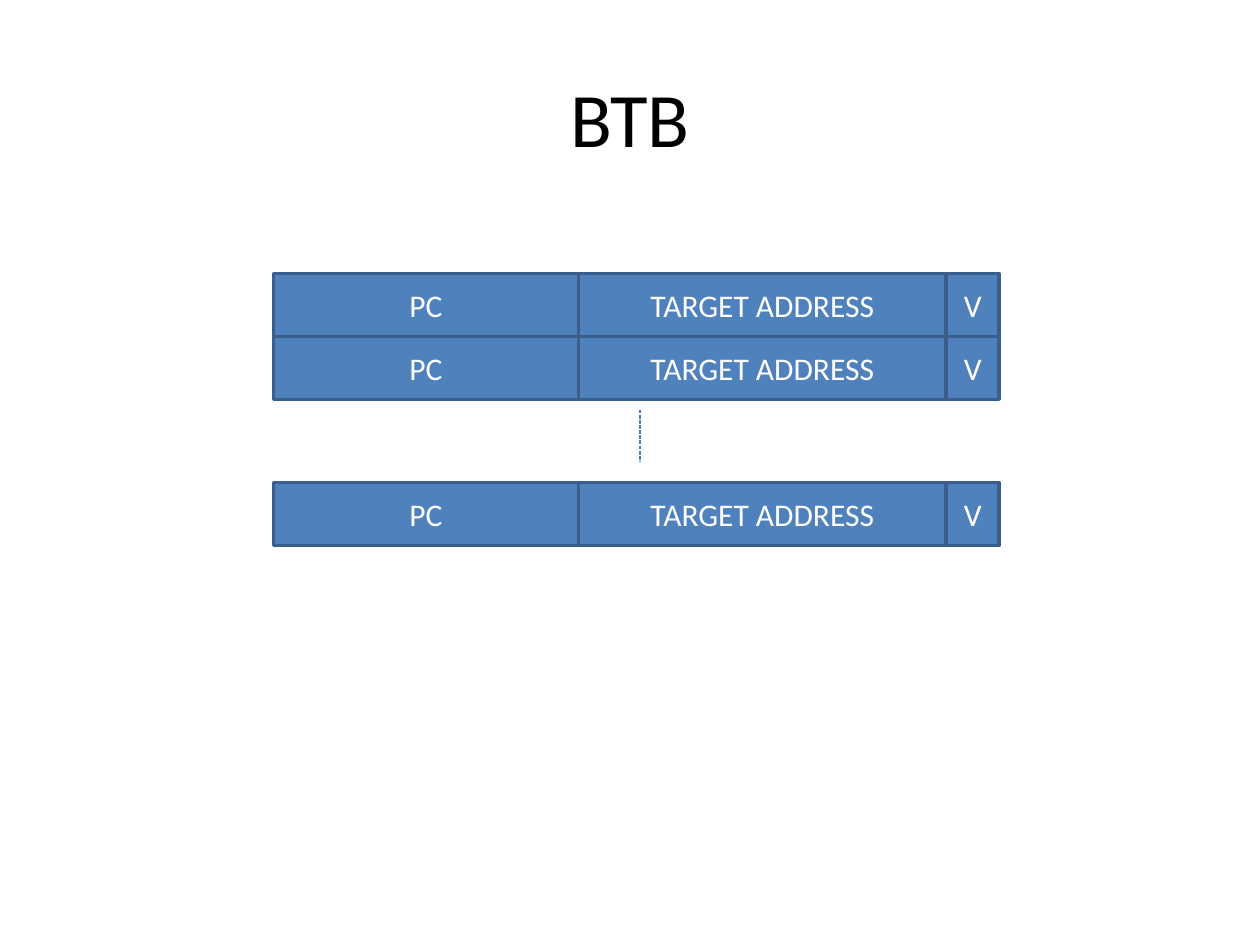
import pptx
import pptx.dml.color
import pptx.enum.dml
import pptx.enum.shapes
import pptx.enum.text
import pptx.oxml.ns
import pptx.util
import lxml.etree

Inches = pptx.util.Inches

COLORS = {
    "background": "FFFFFF",
    "title": "000000",
    "cell": "4F81BD",
    "border": "3A5F8C",
    "cell_text": "FFFFFF",
    "dots": "4B7EBC",
}


def color(name):
    return pptx.dml.color.RGBColor.from_string(COLORS[name])


class SlideBuilder:
    font = "Calibri"
    title_size = 44
    cell_size = 18
    border_width = 2
    dots_width = 0.75

    def __init__(self, slide):
        self.slide = slide
        fill = slide.background.fill
        fill.solid()
        fill.fore_color.rgb = color("background")

    def add_label(self, shape, text, size, color_name):
        frame = shape.text_frame
        frame.word_wrap = True
        frame.vertical_anchor = pptx.enum.text.MSO_ANCHOR.MIDDLE
        paragraph = frame.paragraphs[0]
        paragraph.alignment = pptx.enum.text.PP_ALIGN.CENTER
        run = paragraph.add_run()
        run.text = text
        run.font.name = self.font
        run.font.size = pptx.util.Pt(size)
        run.font.color.rgb = color(color_name)

    def title(self, text, left, top, width, height):
        box = self.slide.shapes.add_textbox(
            Inches(left), Inches(top), Inches(width), Inches(height))
        self.add_label(box, text, self.title_size, "title")

    def cell(self, text, left, top, width, height):
        shape = self.slide.shapes.add_shape(
            pptx.enum.shapes.MSO_SHAPE.RECTANGLE,
            Inches(left), Inches(top), Inches(width), Inches(height))
        shape.shadow.inherit = False
        shape.fill.solid()
        shape.fill.fore_color.rgb = color("cell")
        shape.line.color.rgb = color("border")
        shape.line.width = pptx.util.Pt(self.border_width)
        self.add_label(shape, text, self.cell_size, "cell_text")

    def dashed_line(self, x, top, bottom):
        line = self.slide.shapes.add_connector(
            pptx.enum.shapes.MSO_CONNECTOR.STRAIGHT,
            Inches(x), Inches(top), Inches(x), Inches(bottom))
        line.line.color.rgb = color("dots")
        line.line.width = pptx.util.Pt(self.dots_width)
        # SQUARE_DOT is stored as the sysDash pattern
        line.line.dash_style = pptx.enum.dml.MSO_LINE.SQUARE_DOT
        # An empty effect list removes the theme shadow
        lxml.etree.SubElement(
            line._element.spPr, pptx.oxml.ns.qn("a:effectLst"))


def main():
    presentation = pptx.Presentation()
    presentation.slide_width = Inches(10)
    presentation.slide_height = Inches(7.5)
    slide = presentation.slides.add_slide(presentation.slide_layouts[6])
    builder = SlideBuilder(slide)

    builder.title("BTB", 0.5, 0.3, 9, 1.25)

    # Buffer entries: the same three fields in every row
    fields = [("PC", 2.42), ("TARGET ADDRESS", 2.92), ("V", 0.42)]
    row_height = 0.5
    for top in (2.17, 2.67, 3.83):
        left = 2.17
        for text, width in fields:
            builder.cell(text, left, top, width, row_height)
            left += width

    # Omitted entries between the second and the last row
    builder.dashed_line(5.08, 3.25, 3.67)

    presentation.save("out.pptx")


if __name__ == "__main__":
    main()
